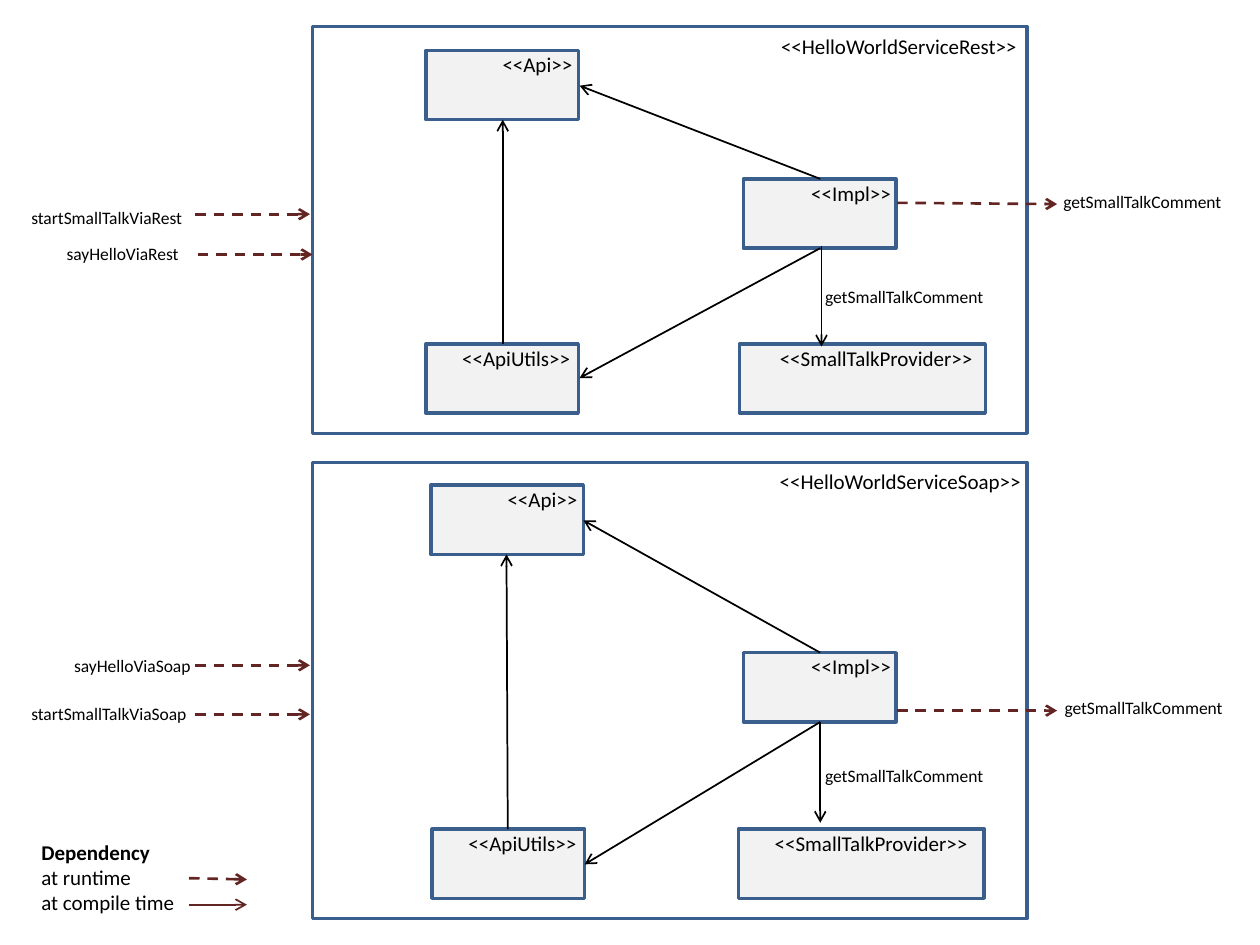
from dataclasses import dataclass

from lxml.etree import SubElement
from pptx import Presentation
from pptx.dml.color import RGBColor
from pptx.enum.dml import MSO_LINE
from pptx.enum.shapes import MSO_CONNECTOR, MSO_SHAPE
from pptx.enum.text import MSO_AUTO_SIZE
from pptx.oxml.ns import qn
from pptx.shapes.shapetree import GroupShapes, SlideShapes
from pptx.util import Inches, Pt

BORDER_BLUE = RGBColor(0x3A, 0x5F, 0x8C)
COMPONENT_GREY = RGBColor(0xF2, 0xF2, 0xF2)
DEPENDENCY_RED = RGBColor(0x63, 0x25, 0x23)
BLACK = RGBColor(0, 0, 0)

SERVICE_LEFT, SERVICE_WIDTH = 2.48, 5.67
COMPONENT_HEIGHT = 0.55
LABEL_RISE = 0.04
NAME_SIZE, CALL_SIZE = 12, 10
LABEL_HEIGHT = {NAME_SIZE: 0.3, CALL_SIZE: 0.27}

Shapes = SlideShapes | GroupShapes


@dataclass(frozen=True)
class Label:
    text: str
    left: float
    top: float
    width: float
    size: int = CALL_SIZE


@dataclass(frozen=True)
class Component:
    name: str
    left: float
    top: float
    width: float
    name_left: float
    name_width: float


@dataclass(frozen=True)
class Arrow:
    start: tuple[float, float]
    end: tuple[float, float]
    color: RGBColor = BLACK
    weight: float = 1
    dashed: bool = False


@dataclass(frozen=True)
class Service:
    top: float
    height: float
    labels: list[Label]
    components: list[Component]
    arrows: list[Arrow]


def runtime(start: tuple[float, float], end: tuple[float, float]) -> Arrow:
    return Arrow(start, end, DEPENDENCY_RED, 1.5, True)


def draw_box(shapes: Shapes, left: float, top: float, width: float,
             height: float, fill: RGBColor | None = None) -> None:
    box = shapes.add_shape(MSO_SHAPE.RECTANGLE, Inches(left), Inches(top),
                           Inches(width), Inches(height))
    box.shadow.inherit = False
    if fill is None:
        box.fill.background()
    else:
        box.fill.solid()
        box.fill.fore_color.rgb = fill
    box.line.color.rgb = BORDER_BLUE
    box.line.width = Pt(2)


def draw_text(shapes: Shapes, lines: list[str], left: float, top: float,
              width: float, height: float, size: int,
              heading: bool = False) -> None:
    frame = shapes.add_textbox(Inches(left), Inches(top), Inches(width),
                               Inches(height)).text_frame
    frame.word_wrap = False
    frame.auto_size = MSO_AUTO_SIZE.SHAPE_TO_FIT_TEXT
    frame.text = "\n".join(lines)
    for paragraph in frame.paragraphs:
        paragraph.font.name = "Calibri"
        paragraph.font.size = Pt(size)
        paragraph.font.color.rgb = BLACK
    frame.paragraphs[0].font.bold = heading


def draw_label(shapes: Shapes, label: Label) -> None:
    draw_text(shapes, [label.text], label.left, label.top, label.width,
              LABEL_HEIGHT[label.size], label.size)


def draw_component(shapes: Shapes, component: Component) -> None:
    draw_box(shapes, component.left, component.top, component.width,
             COMPONENT_HEIGHT, COMPONENT_GREY)
    draw_label(shapes, Label(component.name, component.name_left,
                             component.top - LABEL_RISE,
                             component.name_width, NAME_SIZE))


def draw_arrow(shapes: Shapes, arrow: Arrow) -> None:
    connector = shapes.add_connector(
        MSO_CONNECTOR.STRAIGHT, *(Inches(v) for v in arrow.start + arrow.end))
    connector.line.color.rgb = arrow.color
    connector.line.width = Pt(arrow.weight)
    if arrow.dashed:
        connector.line.dash_style = MSO_LINE.DASH
    SubElement(connector.line._get_or_add_ln(), qn("a:tailEnd"), type="arrow")
    SubElement(connector._element.spPr, qn("a:effectLst"))


def draw_service(shapes: Shapes, service: Service) -> None:
    draw_box(shapes, SERVICE_LEFT, service.top, SERVICE_WIDTH, service.height)
    for component in service.components:
        draw_component(shapes, component)
    for arrow in service.arrows:
        draw_arrow(shapes, arrow)
    for label in service.labels:
        draw_label(shapes, label)


REST = Service(
    0.21, 3.23,
    [Label("<<HelloWorldServiceRest>>", 6.1, 0.22, 2.09, NAME_SIZE),
     Label("startSmallTalkViaRest", 0.15, 1.59, 1.43),
     Label("sayHelloViaRest", 0.43, 1.88, 1.1),
     Label("getSmallTalkComment", 8.34, 1.47, 1.49),
     Label("getSmallTalkComment", 6.45, 2.22, 1.49)],
    [Component("<<Api>>", 3.38, 0.4, 1.21, 3.89, 0.76),
     Component("<<Impl>>", 5.9, 1.42, 1.21, 6.34, 0.84),
     Component("<<ApiUtils>>", 3.38, 2.73, 1.21, 3.57, 1.07),
     Component("<<SmallTalkProvider>>", 5.87, 2.73, 1.95, 6.09, 1.75)],
    [runtime((1.55, 1.7), (2.46, 1.7)),
     runtime((1.57, 2.02), (2.48, 2.02)),
     runtime((7.12, 1.61), (8.39, 1.62)),
     Arrow((3.99, 2.73), (3.99, 0.95)),
     Arrow((6.51, 1.42), (4.6, 0.68)),
     Arrow((6.51, 1.97), (4.6, 3)),
     Arrow((6.52, 1.95), (6.52, 2.75))])

SOAP = Service(
    3.67, 3.62,
    [Label("<<HelloWorldServiceSoap>>", 6.09, 3.67, 2.14, NAME_SIZE),
     Label("sayHelloViaSoap", 0.49, 5.15, 1.14),
     Label("startSmallTalkViaSoap", 0.15, 5.53, 1.46),
     Label("getSmallTalkComment", 8.35, 5.48, 1.49),
     Label("getSmallTalkComment", 6.45, 6.02, 1.49)],
    [Component("<<Api>>", 3.42, 3.85, 1.21, 3.93, 0.76),
     Component("<<Impl>>", 5.9, 5.18, 1.21, 6.34, 0.84),
     Component("<<ApiUtils>>", 3.43, 6.58, 1.21, 3.62, 1.07),
     Component("<<SmallTalkProvider>>", 5.86, 6.58, 1.95, 6.05, 1.75)],
    [runtime((1.55, 5.28), (2.46, 5.28)),
     runtime((1.55, 5.67), (2.46, 5.67)),
     runtime((7.12, 5.64), (8.39, 5.64)),
     Arrow((4.03, 6.58), (4.02, 4.4)),
     Arrow((6.51, 5.18), (4.63, 4.13)),
     Arrow((6.51, 5.73), (4.64, 6.86)),
     Arrow((6.51, 5.73), (6.51, 6.53))])

LEGEND_ARROWS = [Arrow((1.5, 7.18), (1.96, 7.18), DEPENDENCY_RED),
                 runtime((1.5, 6.97), (1.96, 6.98))]

presentation = Presentation()
presentation.slide_width = Inches(10)
presentation.slide_height = Inches(7.5)
slide = presentation.slides.add_slide(presentation.slide_layouts[6])

for service in (REST, SOAP):
    draw_service(slide.shapes, service)

legend = slide.shapes.add_group_shape().shapes
for arrow in LEGEND_ARROWS:
    draw_arrow(legend, arrow)
draw_text(legend, ["Dependency", "at runtime", "at compile time"],
          0.23, 6.61, 1.27, 0.71, NAME_SIZE, heading=True)

presentation.save("out.pptx")
